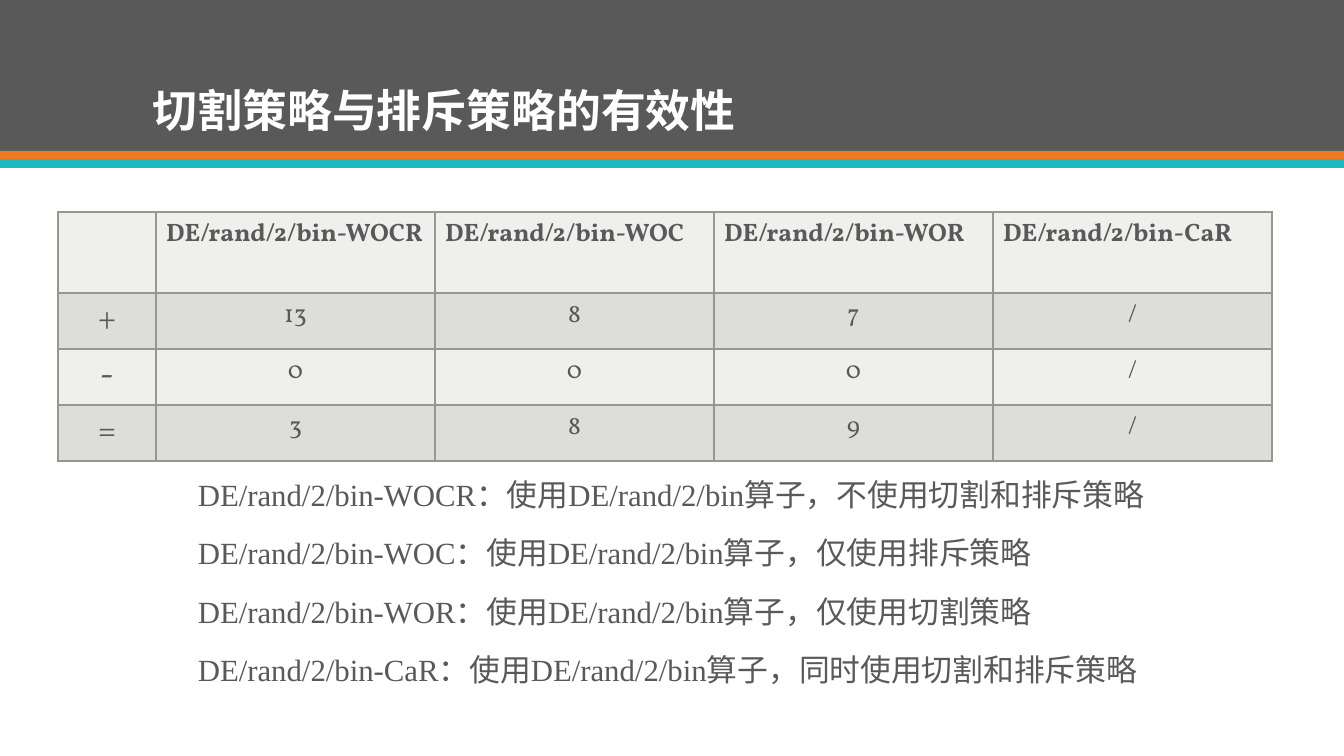
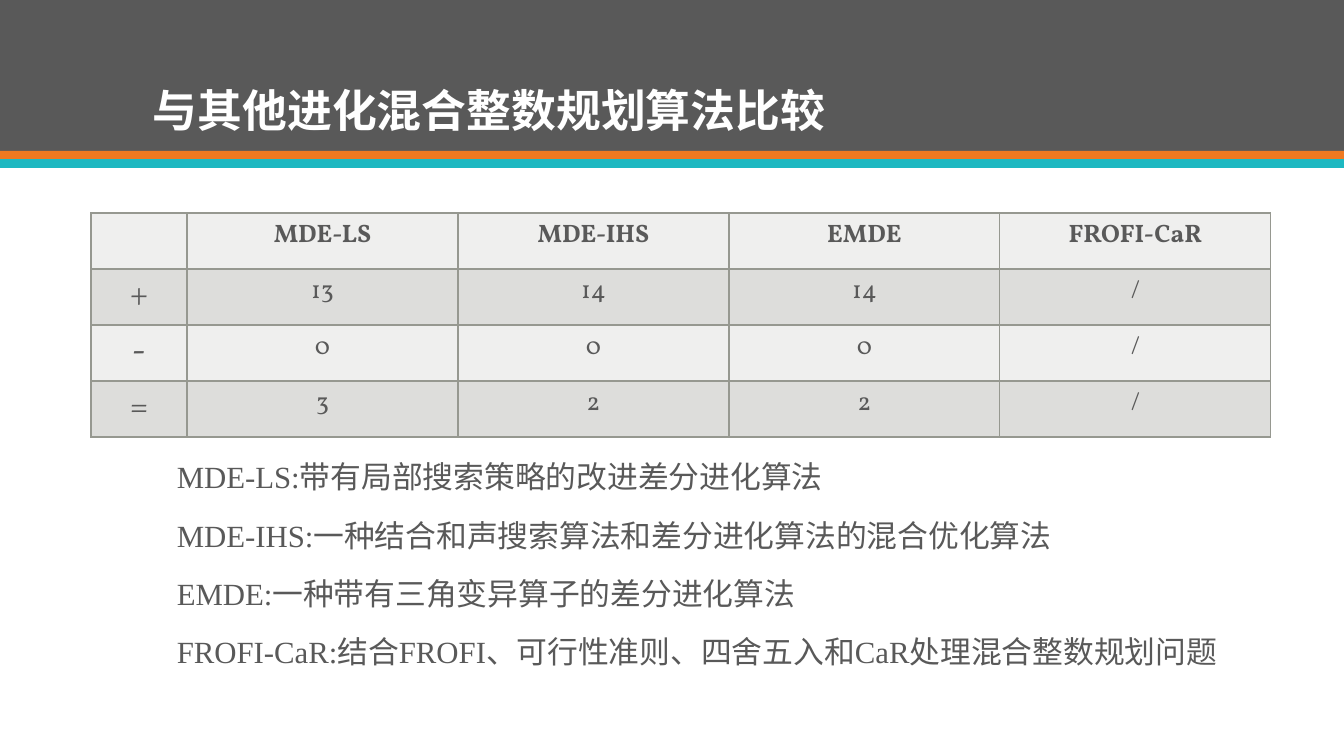
from pptx import Presentation
from pptx.dml.color import RGBColor
from pptx.enum.shapes import MSO_SHAPE
from pptx.enum.text import MSO_ANCHOR, PP_ALIGN
from pptx.oxml import parse_xml
from pptx.oxml.ns import nsdecls
from pptx.util import Emu, Pt

PX = 12192000 / 1344
PAGE_WIDTH, PAGE_HEIGHT = 1344, 756

GREY, ORANGE, TEAL, WHITE = "595959", "EF7920", "1EB8C1", "FFFFFF"
ROW_FILLS = ("EFEFEE", "DDDDDB")
BORDER = "969890"
BANDS = ((0, 151, GREY), (151, 8, ORANGE), (159, 9, TEAL))

TITLE_FONT, BODY_FONT, TABLE_FONT = "Noto Sans CJK SC", "Times New Roman", "Vollkorn"


def px(*lengths):
    return [Emu(round(length * PX)) for length in lengths]


def color(value):
    return RGBColor.from_string(value)


def style(para, size, font, ink, bold=False):
    para.font.size = Pt(size)
    para.font.name = font
    para.font.bold = bold
    para.font.color.rgb = color(ink)


def add_borders(cell):
    properties = cell._tc.get_or_add_tcPr()
    for side in ("lnL", "lnR", "lnT", "lnB"):
        properties.append(parse_xml(
            f'<a:{side} {nsdecls("a")} w="{Pt(1)}"><a:solidFill>'
            f'<a:srgbClr val="{BORDER}"/></a:solidFill></a:{side}>'))


class Deck:
    """Shared style and the page being filled."""

    def __init__(self):
        self.deck = Presentation()
        self.deck.slide_width, self.deck.slide_height = px(PAGE_WIDTH, PAGE_HEIGHT)
        self.page = None

    def new_page(self, title):
        self.page = self.deck.slides.add_slide(self.deck.slide_layouts[6])
        for top, height, fill in BANDS:
            self.band(top, height, fill)
        self.text((143, 28, 1058, 114), [title], 32, TITLE_FONT, WHITE,
                  bold=True, anchor=MSO_ANCHOR.BOTTOM)

    def band(self, top, height, fill):
        bar = self.page.shapes.add_shape(
            MSO_SHAPE.RECTANGLE, *px(0, top, PAGE_WIDTH, height))
        bar.shadow.inherit = False
        bar.fill.solid()
        bar.fill.fore_color.rgb = color(fill)
        bar.line.fill.background()

    def text(self, bounds, lines, size, font, ink, bold=False, anchor=MSO_ANCHOR.TOP):
        frame = self.page.shapes.add_textbox(*px(*bounds)).text_frame
        frame.word_wrap = True
        frame.vertical_anchor = anchor
        for index, line in enumerate(lines):
            para = frame.add_paragraph() if index else frame.paragraphs[0]
            para.text = line
            para.line_spacing = 0.9
            para.space_before = Pt(18 if index else 0)
            style(para, size, font, ink, bold)

    def notes(self, bounds, lines):
        self.text(bounds, lines, 22, BODY_FONT, GREY)

    def table(self, left, top, column_widths, row_heights, rows, header_align):
        bounds = px(left, top, sum(column_widths), sum(row_heights))
        grid = self.page.shapes.add_table(len(rows), len(rows[0]), *bounds).table
        grid.first_row = grid.horz_banding = False
        for column, width in zip(grid.columns, px(*column_widths)):
            column.width = width
        for row, height in zip(grid.rows, px(*row_heights)):
            row.height = height
        for r, values in enumerate(rows):
            for c, value in enumerate(values):
                cell = grid.cell(r, c)
                add_borders(cell)
                cell.fill.solid()
                cell.fill.fore_color.rgb = color(ROW_FILLS[r % 2])
                cell.text = value
                para = cell.text_frame.paragraphs[0]
                para.alignment = PP_ALIGN.CENTER if r else header_align
                is_sign = r > 0 and c == 0
                style(para, 24 if is_sign else 18, TABLE_FONT, GREY, bold=r == 0)

    def save(self):
        self.deck.save("out.pptx")


def main():
    deck = Deck()

    deck.new_page("切割策略与排斥策略的有效性")
    deck.table(58, 212, [98] + [279] * 4, [81] + [56] * 3, [
        ["", "DE/rand/2/bin-WOCR", "DE/rand/2/bin-WOC",
         "DE/rand/2/bin-WOR", "DE/rand/2/bin-CaR"],
        ["+", "13", "8", "7", "/"],
        ["-", "0", "0", "0", "/"],
        ["=", "3", "8", "9", "/"],
    ], PP_ALIGN.LEFT)
    deck.notes((188, 475, 992, 251), [
        "DE/rand/2/bin-WOCR：使用DE/rand/2/bin算子，不使用切割和排斥策略",
        "DE/rand/2/bin-WOC：使用DE/rand/2/bin算子，仅使用排斥策略",
        "DE/rand/2/bin-WOR：使用DE/rand/2/bin算子，仅使用切割策略",
        "DE/rand/2/bin-CaR：使用DE/rand/2/bin算子，同时使用切割和排斥策略",
    ])

    deck.new_page("与其他进化混合整数规划算法比较")
    deck.table(91, 213, [96] + [271] * 4, [56] * 4, [
        ["", "MDE-LS", "MDE-IHS", "EMDE", "FROFI-CaR"],
        ["+", "13", "14", "14", "/"],
        ["-", "0", "0", "0", "/"],
        ["=", "3", "2", "2", "/"],
    ], PP_ALIGN.CENTER)
    deck.notes((167, 457, 1078, 251), [
        "MDE-LS:带有局部搜索策略的改进差分进化算法",
        "MDE-IHS:一种结合和声搜索算法和差分进化算法的混合优化算法",
        "EMDE:一种带有三角变异算子的差分进化算法",
        "FROFI-CaR:结合FROFI、可行性准则、四舍五入和CaR处理混合整数规划问题",
    ])

    deck.save()


if __name__ == "__main__":
    main()
